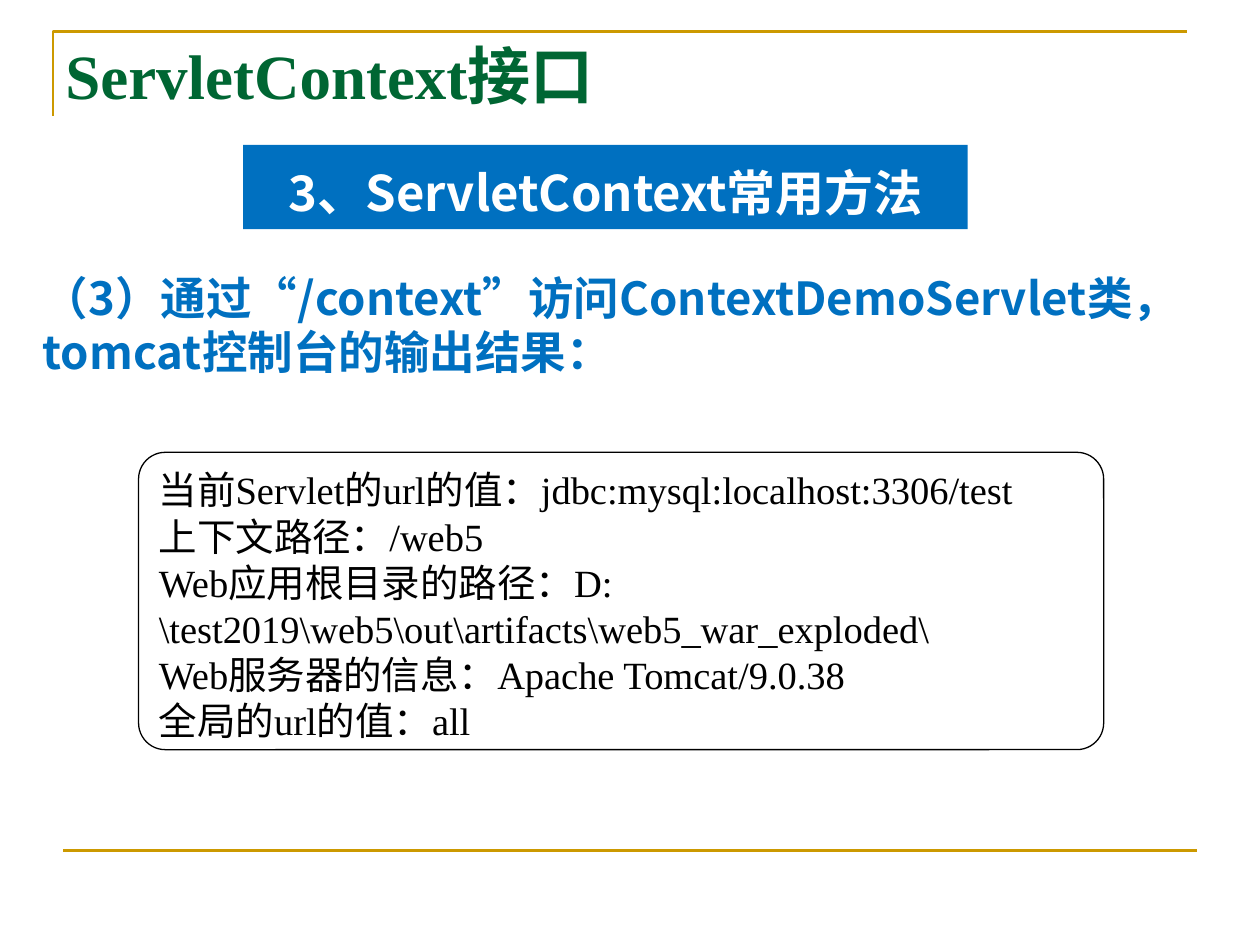
from dataclasses import dataclass

from lxml.etree import SubElement
from pptx import Presentation
from pptx.dml.color import RGBColor
from pptx.enum.shapes import MSO_CONNECTOR, MSO_SHAPE
from pptx.enum.text import MSO_ANCHOR, MSO_AUTO_SIZE, PP_ALIGN
from pptx.oxml.ns import qn
from pptx.util import Inches, Pt


@dataclass(frozen=True)
class Theme:
    serif: str = "Times New Roman"
    sans: str = "Noto Sans CJK SC"
    gold: RGBColor = RGBColor(0xCC, 0x99, 0x00)
    green: RGBColor = RGBColor(0x00, 0x66, 0x33)
    blue: RGBColor = RGBColor(0x00, 0x70, 0xC0)
    white: RGBColor = RGBColor(0xFF, 0xFF, 0xFF)
    black: RGBColor = RGBColor(0x00, 0x00, 0x00)
    title_size: int = 36
    banner_size: int = 28
    lead_size: int = 26
    output_size: int = 22
    rule_width: float = 1.5
    outline_width: float = 0.75


THEME = Theme()

OUTPUT_LINES = (
    "当前Servlet的url的值：jdbc:mysql:localhost:3306/test",
    "上下文路径：/web5",
    "Web应用根目录的路径：D:\\test2019\\web5\\out\\artifacts\\web5_war_exploded\\",
    "Web服务器的信息：Apache Tomcat/9.0.38",
    "全局的url的值：all",
)


def style_line(line, color, width):
    line.color.rgb = color
    line.width = Pt(width)


def write_text(shape, lines, face, size, color, bold=False,
               align=PP_ALIGN.LEFT, anchor=MSO_ANCHOR.TOP, spacing=None, grow=False):
    frame = shape.text_frame
    frame.word_wrap = True
    frame.vertical_anchor = anchor
    frame.auto_size = MSO_AUTO_SIZE.SHAPE_TO_FIT_TEXT if grow else MSO_AUTO_SIZE.NONE
    frame.text = "\n".join(lines)
    for paragraph in frame.paragraphs:
        paragraph.alignment = align
        if spacing:
            paragraph.line_spacing = spacing
        font = paragraph.font
        font.name = face
        font.size = Pt(size)
        font.bold = bold
        font.color.rgb = color


def add_text(page, left, top, width, height, lines, *style, **options):
    box = page.shapes.add_textbox(Inches(left), Inches(top), Inches(width), Inches(height))
    write_text(box, lines, *style, **options)


def add_panel(page, kind, left, top, width, height):
    panel = page.shapes.add_shape(kind, Inches(left), Inches(top), Inches(width), Inches(height))
    panel.shadow.inherit = False
    panel.fill.background()
    panel.line.fill.background()
    return panel


def add_corner_rule(page, left, top, right, bottom):
    builder = page.shapes.build_freeform(Inches(left), Inches(bottom))
    builder.add_line_segments(
        [(Inches(left), Inches(top)), (Inches(right), Inches(top))], close=False)
    corner = builder.convert_to_shape()
    corner.shadow.inherit = False
    corner.fill.background()
    style_line(corner.line, THEME.gold, THEME.rule_width)


def add_bottom_rule(page, left, right, height):
    rule = page.shapes.add_connector(
        MSO_CONNECTOR.STRAIGHT, Inches(left), Inches(height), Inches(right), Inches(height))
    style_line(rule.line, THEME.gold, THEME.rule_width)
    SubElement(rule._element.spPr, qn("a:effectLst"))


def add_output_panel(page):
    panel = add_panel(page, MSO_SHAPE.ROUNDED_RECTANGLE, 1.1, 3.59, 7.66, 2.36)
    panel.adjustments[0] = 0.09
    style_line(panel.line, THEME.black, THEME.outline_width)
    write_text(panel, OUTPUT_LINES, THEME.serif, THEME.output_size, THEME.black)


def add_banner(page):
    banner = add_panel(page, MSO_SHAPE.RECTANGLE, 1.93, 1.15, 5.75, 0.67)
    banner.fill.solid()
    banner.fill.fore_color.rgb = THEME.blue
    write_text(banner, ["3、ServletContext常用方法"], THEME.sans, THEME.banner_size,
               THEME.white, bold=True, align=PP_ALIGN.CENTER, spacing=1.2, grow=True)


def main():
    deck = Presentation()
    deck.slide_width = Inches(10)
    deck.slide_height = Inches(7.5)
    page = deck.slides.add_slide(deck.slide_layouts[6])
    add_corner_rule(page, 0.42, 0.25, 9.42, 0.92)
    add_bottom_rule(page, 0.5, 9.5, 6.75)
    add_text(page, 0.42, -0.19, 6.15, 1.13, ["ServletContext接口"], THEME.serif,
             THEME.title_size, THEME.green, bold=True, anchor=MSO_ANCHOR.BOTTOM)
    add_text(page, 0.24, 2.09, 9.38, 0.98,
             ["（3）通过“/context”访问ContextDemoServlet类，tomcat控制台的输出结果："],
             THEME.sans, THEME.lead_size, THEME.blue, bold=True, grow=True)
    add_output_panel(page)
    add_banner(page)
    deck.save("out.pptx")


if __name__ == "__main__":
    main()
